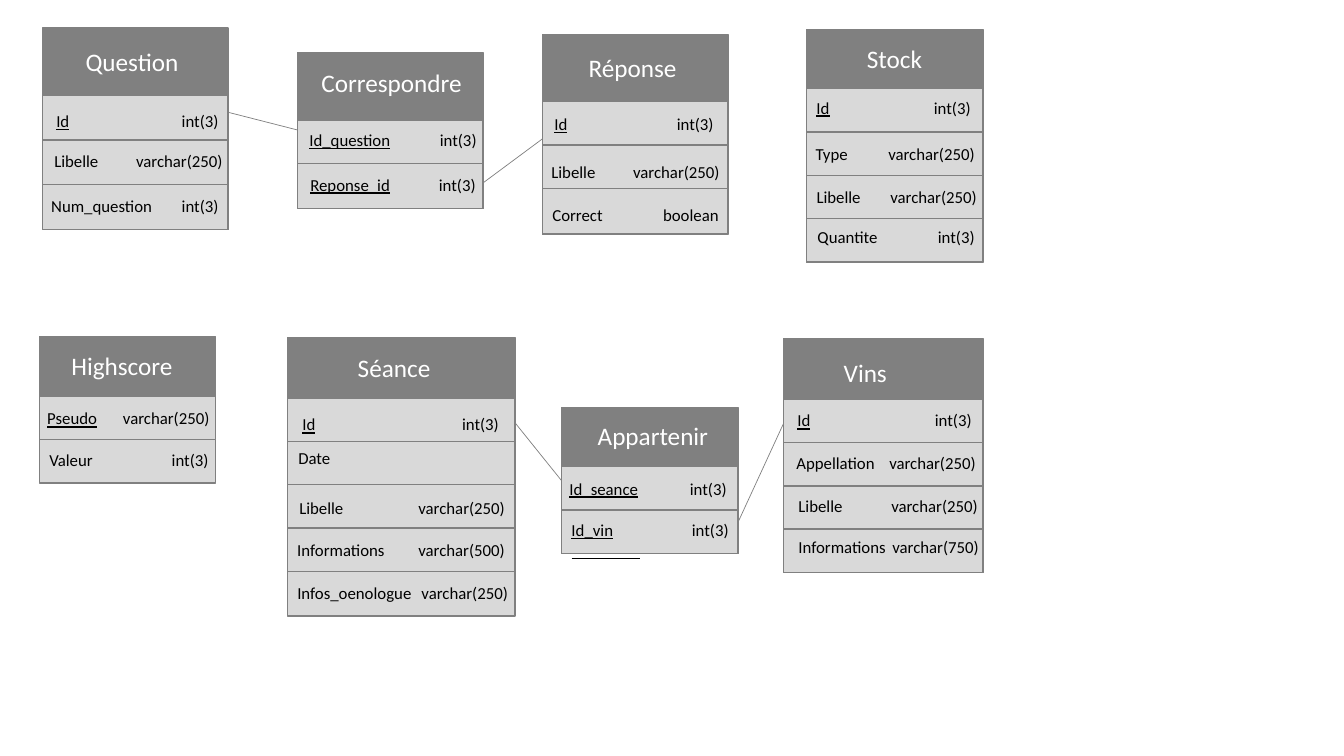
"""Build a slide showing the tables of a quiz and wine database."""
from lxml.etree import SubElement
from pptx import Presentation
from pptx.dml.color import RGBColor as Rgb
from pptx.enum.shapes import MSO_CONNECTOR as Conn, MSO_SHAPE as Form
from pptx.oxml.ns import qn
from pptx.util import Inches, Pt

HUES = {"head": "808080", "cell": "D9D9D9", "title": "FFFFFF", "text": "000000"}
FONT = "Calibri"
KEYS = {"Id", "Id_question", "Reponse_id", "Pseudo", "Id_seance", "Id_vin"}

LINKS = [
    (5, 4.06, 5.74, 4.98),
    (7.27, 5.29, 7.85, 4.03),
    (4.73, 1.86, 5.66, 1.17),
    (2.09, 1.07, 3.46, 1.42),
]

# Frame: left, top, width, head height, row step, row height.
# Title: text, left, top. Row: name, type, left, top, right edge of type.
CARDS = [
    ((0.42, 0.28, 1.84, 0.67, 0.44, 0.45), ("Question", 0.75, 0.41), [
        ("Id", "int(3)", 0.46, 1.05, 2.17),
        ("Libelle", "varchar(250)", 0.44, 1.45, 2.21),
        ("Num_question", "int(3)", 0.41, 1.89, 2.17)]),
    ((5.38, 0.34, 1.84, 0.67, 0.43, 0.45), ("Réponse", 5.74, 0.47), [
        ("Id", "int(3)", 5.4, 1.08, 7.08),
        ("Libelle", "varchar(250)", 5.37, 1.56, 7.14),
        ("Correct", "boolean", 5.38, 1.98, 7.13)]),
    ((0.39, 3.34, 1.75, 0.59, 0.43, 0.43), ("Highscore", 0.61, 3.43), [
        ("Pseudo", "varchar(250)", 0.37, 4, 2.08),
        ("Valeur", "int(3)", 0.39, 4.41, 2.07)]),
    ((8, 0.29, 1.75, 0.59, 0.43, 0.43), ("Stock", 8.5, 0.38), [
        ("Id", "int(3)", 8, 0.92, 9.63),
        ("Type", "varchar(250)", 7.99, 1.38, 9.67),
        ("Libelle", "varchar(250)", 8, 1.8, 9.69),
        ("Quantite", "int(3)", 8.01, 2.2, 9.67)]),
    ((2.85, 3.35, 2.26, 0.6, 0.43, 0.44), ("Séance", 3.45, 3.45), [
        ("Id", "int(3)", 2.9, 4.06, 4.95),
        ("Date", "", 2.86, 4.39, 5.01),
        ("Libelle", "varchar(250)", 2.87, 4.89, 5.01),
        ("Informations", "varchar(500)", 2.85, 5.31, 5.01),
        ("Infos_oenologue", "varchar(250)", 2.85, 5.73, 5.04)]),
    ((7.77, 3.36, 1.98, 0.6, 0.43, 0.43), ("Vins", 8.27, 3.5), [
        ("Id", "int(3)", 7.81, 4.02, 9.64),
        ("Appellation", "varchar(250)", 7.8, 4.44, 9.68),
        ("Libelle", "varchar(250)", 7.82, 4.87, 9.7),
        ("Informations", "varchar(750)", 7.82, 5.28, 9.71)]),
    ((2.95, 0.52, 1.84, 0.67, 0.43, 0.45), ("Correspondre", 3.09, 0.62), [
        ("Id_question", "int(3)", 2.97, 1.24, 4.73),
        ("Reponse_id", "int(3)", 2.98, 1.68, 4.72)]),
    ((5.57, 4.04, 1.75, 0.59, 0.43, 0.43), ("Appartenir", 5.83, 4.12), [
        ("Id_seance", "int(3)", 5.55, 4.7, 7.21),
        ("Id_vin", "int(3)", 5.57, 5.11, 7.23)]),
]


def hue(name):
    """Return the named colour."""
    return Rgb.from_string(HUES[name])


def add_line(slide, ends, tone):
    """Draw a thin straight line."""
    line = slide.shapes.add_connector(Conn.STRAIGHT, *map(Inches, ends))
    line.line.color.rgb = hue(tone)
    line.line.width = Pt(0.5)
    SubElement(line._element.spPr, qn("a:effectLst"))


def add_box(slide, spot, tone):
    """Draw a filled rectangle with a grey edge."""
    box = slide.shapes.add_shape(Form.RECTANGLE, *map(Inches, spot))
    box.shadow.inherit = False
    box.fill.solid()
    box.fill.fore_color.rgb = hue(tone)
    box.line.color.rgb = hue("head")
    box.line.width = Pt(1)


def add_text(slide, spot, text, size, tone):
    """Place one line of text and return its paragraph."""
    frame = slide.shapes.add_textbox(*map(Inches, spot)).text_frame
    frame.word_wrap = True
    frame.margin_right = 0
    para = frame.paragraphs[0]
    for part in text:
        run = para.add_run()
        run.text = part
        run.font.name = FONT
        run.font.size = Pt(size)
        run.font.color.rgb = hue(tone)
    return para


def add_row(slide, name, kind, left, top, right):
    """Write a field name with its type aligned at the right edge."""
    parts = [name, "\t" + kind] if kind else [name]
    spot = (left, top, right - left + 0.3, 0.3)
    para = add_text(slide, spot, parts, 12, "text")
    para.runs[0].font.underline = name in KEYS
    tabs = SubElement(para._p.get_or_add_pPr(), qn("a:tabLst"))
    stop = Inches(right - left - 0.1)
    SubElement(tabs, qn("a:tab"), pos=str(int(stop)), algn="r")


def add_card(slide, frame, title, rows):
    """Draw one database table with its head and fields."""
    left, top, width, head, step, tall = frame
    full = head + step * (len(rows) - 1) + tall
    add_box(slide, (left, top, width, full), "head")
    for num in range(len(rows)):
        add_box(slide, (left, top + head + num * step, width, tall), "cell")
    text, x, y = title
    add_text(slide, (x, y, 1.8, 0.4), [text], 18, "title")
    for row in rows:
        add_row(slide, *row)


def main():
    """Build and save the slide."""
    deck = Presentation()
    deck.slide_width, deck.slide_height = Inches(13.33), Inches(7.5)
    slide = deck.slides.add_slide(deck.slide_layouts[6])
    for ends in LINKS:
        add_line(slide, ends, "head")
    for card in CARDS:
        add_card(slide, *card)
    add_line(slide, (5.67, 5.54, 6.35, 5.54), "text")
    deck.save("out.pptx")


main()
